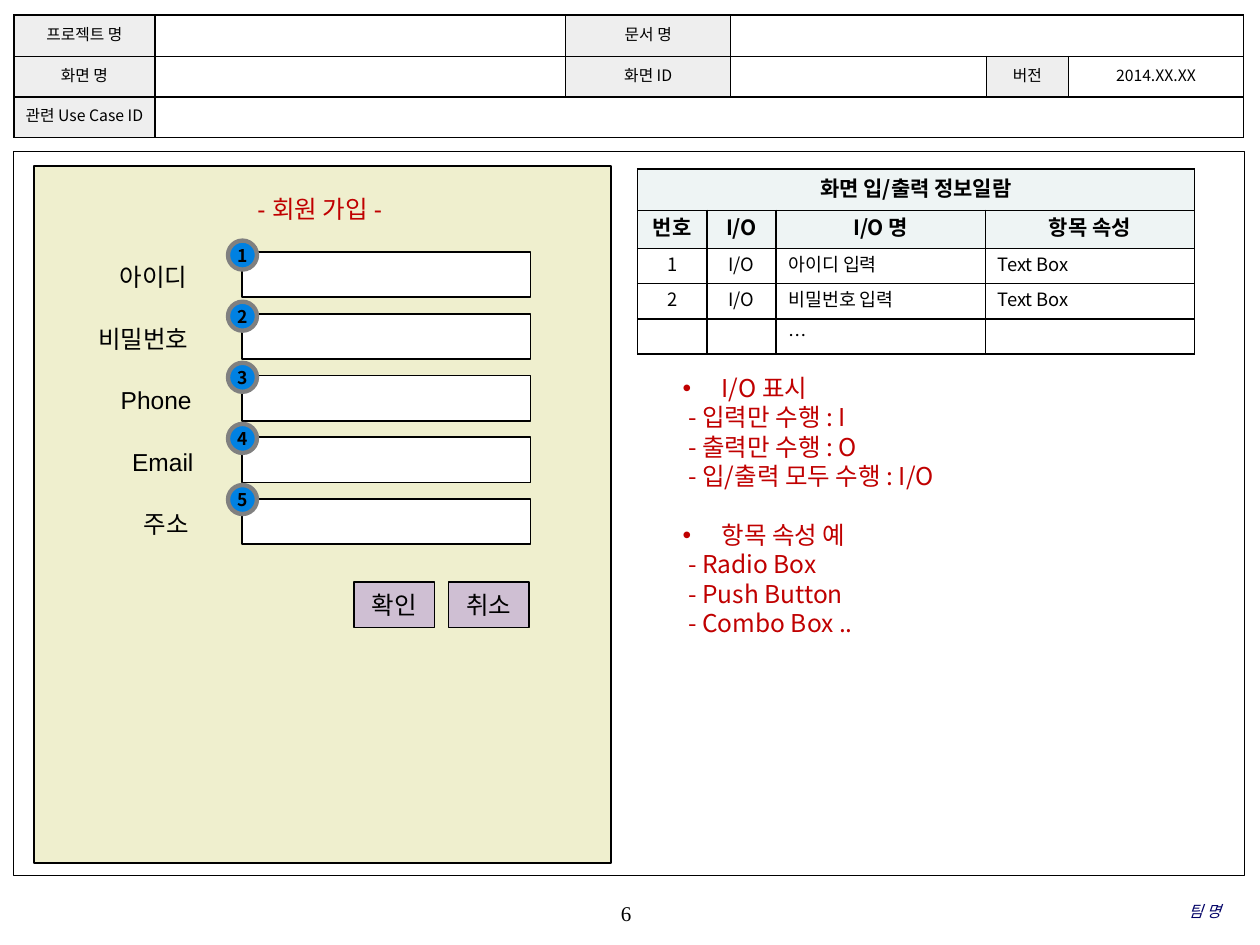
from pptx import Presentation
from pptx.util import Inches, Pt
from pptx.dml.color import RGBColor
from pptx.enum.shapes import MSO_SHAPE
from pptx.enum.text import PP_ALIGN, MSO_ANCHOR
from pptx.oxml.ns import qn
from lxml.etree import SubElement

BLACK = RGBColor(0, 0, 0)
WHITE = RGBColor(255, 255, 255)
RED = RGBColor(0xC0, 0, 0)
NAVY = RGBColor(0, 0, 0x66)
BLUE = RGBColor(0, 0x81, 0xE2)
GRAY = RGBColor(0x80, 0x80, 0x80)
LABEL_GRAY = RGBColor(0xEE, 0xEE, 0xEE)
PALE = RGBColor(0xEE, 0xF4, 0xF4)
CREAM = RGBColor(0xEF, 0xEF, 0xCE)
MAUVE = RGBColor(0xCF, 0xBF, 0xD3)
NOTO = "Noto Sans CJK KR"
CENTER, LEFT, RIGHT = PP_ALIGN.CENTER, PP_ALIGN.LEFT, PP_ALIGN.RIGHT

HEADER = [
    ["프로젝트 명", "", "문서 명", "", "", ""],
    ["화면 명", "", "화면 ID", "", "버전", "2014.XX.XX"],
    ["관련 Use Case ID", "", "", "", "", ""],
]
HEADER_COLS = [1.12, 3.26, 1.31, 2.03, 0.65, 1.39]
HEADER_ROWS = [0.33, 0.32, 0.32]
HEADER_SPANS = [(0, 3, 5), (2, 1, 5)]

IO_ITEMS = [
    ["화면 입/출력 정보일람", "", "", ""],
    ["번호", "I/O", "I/O 명", "항목 속성"],
    ["1", "I/O", "아이디 입력", "Text Box"],
    ["2", "I/O", "비밀번호 입력", "Text Box"],
    ["", "", "…", ""],
]
IO_COLS = [0.55, 0.55, 1.66, 1.66]
IO_ROWS = [0.33, 0.3, 0.28, 0.28, 0.28]
IO_SPANS = [(0, 0, 3)]

FIELDS = [("아이디", 0.85, 0.79), ("비밀번호", 0.68, 0.99), ("Phone", 0.86, 0.77),
          ("Email", 0.95, 0.69), ("주소", 1.04, 0.59)]
FIELD_TOP, FIELD_STEP = 2, 0.49
BADGE_TOP, BADGE_STEP = 1.91, 0.485
BUTTONS = [("확인", 2.81), ("취소", 3.56)]

NOTES = [
    ("I/O 표시", [" - 입력만 수행 : I", " - 출력만 수행 : O", " - 입/출력 모두 수행 : I/O"]),
    ("항목 속성 예", [" - Radio Box", " - Push Button", " - Combo Box .."]),
]


def write(p, text, size=14, font="Arial", color=BLACK, bold=False, italic=False,
          align=LEFT, leading=None):
    p.alignment = align
    if leading:
        p.line_spacing = Pt(size * leading)
    if not text:
        p._p.get_or_add_endParaRPr().set("sz", str(int(size * 100)))
        return
    r = p.add_run()
    r.text = text
    f = r.font
    f.size, f.name, f.bold, f.italic = Pt(size), font, bold, italic
    f.color.rgb = color
    SubElement(r._r.get_or_add_rPr(), qn("a:ea")).set("typeface", NOTO)


def add_text(x, y, w, h, text, anchor=MSO_ANCHOR.TOP, margins=(0.1, 0.05, 0, 0.05), **fmt):
    tf = slide.shapes.add_textbox(Inches(x), Inches(y), Inches(w), Inches(h)).text_frame
    tf.word_wrap = True
    tf.vertical_anchor = anchor
    tf.margin_left, tf.margin_top, tf.margin_right, tf.margin_bottom = map(Inches, margins)
    if text:
        write(tf.paragraphs[0], text, **fmt)
    return tf


def add_box(x, y, w, h, fill=None, line=BLACK, width=1, kind=MSO_SHAPE.RECTANGLE,
            text="", **fmt):
    sp = slide.shapes.add_shape(kind, Inches(x), Inches(y), Inches(w), Inches(h))
    sp.shadow.inherit = False
    if fill is None:
        sp.fill.background()
    else:
        sp.fill.solid()
        sp.fill.fore_color.rgb = fill
    sp.line.color.rgb = line
    sp.line.width = Pt(width)
    if text:
        tf = sp.text_frame
        tf.word_wrap = False
        tf.vertical_anchor = MSO_ANCHOR.MIDDLE
        write(tf.paragraphs[0], text, align=CENTER, **fmt)


def set_borders(cell):
    tcPr = cell._tc.get_or_add_tcPr()
    for i, side in enumerate(("lnL", "lnR", "lnT", "lnB")):
        ln = tcPr.makeelement(qn("a:" + side), {"w": str(Pt(1))})
        fill = SubElement(ln, qn("a:solidFill"))
        SubElement(fill, qn("a:srgbClr")).set("val", str(BLACK))
        tcPr.insert(i, ln)


def add_grid(x, y, cols, rows, data, spans, style, margins):
    tbl = slide.shapes.add_table(len(rows), len(cols), Inches(x), Inches(y),
                                 Inches(sum(cols)), Inches(sum(rows))).table
    for col, w in zip(tbl.columns, cols):
        col.width = Inches(w)
    for row, h in zip(tbl.rows, rows):
        row.height = Inches(h)
    for i, texts in enumerate(data):
        for j, text in enumerate(texts):
            cell = tbl.cell(i, j)
            fill, fmt = style(i, j, text)
            cell.fill.solid()
            cell.fill.fore_color.rgb = fill
            cell.vertical_anchor = MSO_ANCHOR.MIDDLE
            cell.margin_left = cell.margin_right = Inches(margins[0])
            cell.margin_top = cell.margin_bottom = Inches(margins[1])
            write(cell.text_frame.paragraphs[0], text, font=NOTO, leading=1.2, **fmt)
            set_borders(cell)
    for i, first, last in spans:
        tbl.cell(i, first).merge(tbl.cell(i, last))


def header_style(i, j, text):
    is_label = text and j in (0, 2, 4)
    return (LABEL_GRAY if is_label else WHITE), dict(size=9, align=CENTER)


def io_style(i, j, text):
    if i < 2:
        return PALE, dict(size=12, bold=True, align=CENTER)
    return WHITE, dict(size=10.5, align=CENTER if j < 2 else LEFT)


prs = Presentation()
prs.slide_width, prs.slide_height = Inches(10), Inches(7.5)
slide = prs.slides.add_slide(prs.slide_layouts[6])

add_box(0.11, 1.2, 9.77, 5.75, width=0.75)
footer = dict(anchor=MSO_ANCHOR.MIDDLE, margins=(0, 0, 0, 0), font="Times New Roman")
add_text(3.93, 7.08, 2.08, 0.33, "6", size=12, align=CENTER, **footer)
add_text(6.63, 7.07, 3.06, 0.33, "팀 명", size=9, color=NAVY, italic=True, align=RIGHT, **footer)

add_box(0.27, 1.32, 4.58, 5.53, fill=CREAM)
add_text(1.89, 1.49, 1.33, 0.32, " - 회원 가입 -", color=RED)
for i, (label, x, w) in enumerate(FIELDS):
    y = FIELD_TOP + i * FIELD_STEP
    add_box(1.92, y, 2.29, 0.36, fill=WHITE)
    add_text(x, y + 0.03, w, 0.32, label)
for label, x in BUTTONS:
    add_box(x, 4.62, 0.64, 0.36, fill=MAUVE, text=label)

add_grid(5.06, 1.34, IO_COLS, IO_ROWS, IO_ITEMS, IO_SPANS, io_style, (0.1, 0.05))

tf = add_text(5.32, 2.91, 2.47, 2.46, "")
for n, (heading, lines) in enumerate(NOTES):
    p = tf.add_paragraph() if n else tf.paragraphs[0]
    write(p, heading, font=NOTO, color=RED, leading=1.2)
    if n:
        p.space_before = Pt(16.8)
    pPr = p._p.get_or_add_pPr()
    pPr.set("marL", str(Inches(0.31)))
    pPr.set("indent", str(Inches(-0.31)))
    SubElement(pPr, qn("a:buFont")).set("typeface", "Arial")
    SubElement(pPr, qn("a:buChar")).set("char", "•")
    for line in lines:
        write(tf.add_paragraph(), line, font=NOTO, color=RED, leading=1.2)

add_grid(0.11, 0.12, HEADER_COLS, HEADER_ROWS, HEADER, HEADER_SPANS, header_style, (0.04, 0.02))

for i in range(len(FIELDS)):
    add_box(1.81, BADGE_TOP + i * BADGE_STEP, 0.23, 0.23, fill=BLUE, line=GRAY, width=2.5,
            kind=MSO_SHAPE.OVAL, text=str(i + 1), size=10, font=NOTO, bold=True)

prs.save("out.pptx")
